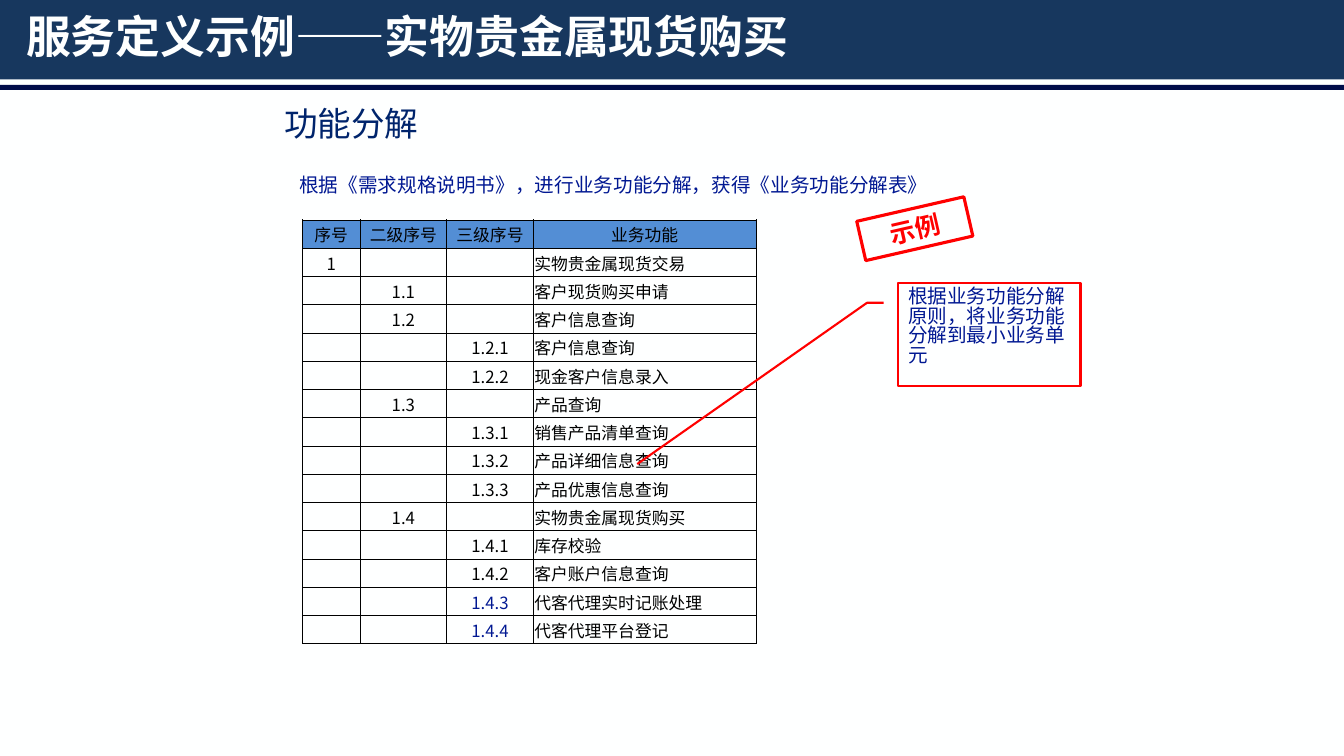
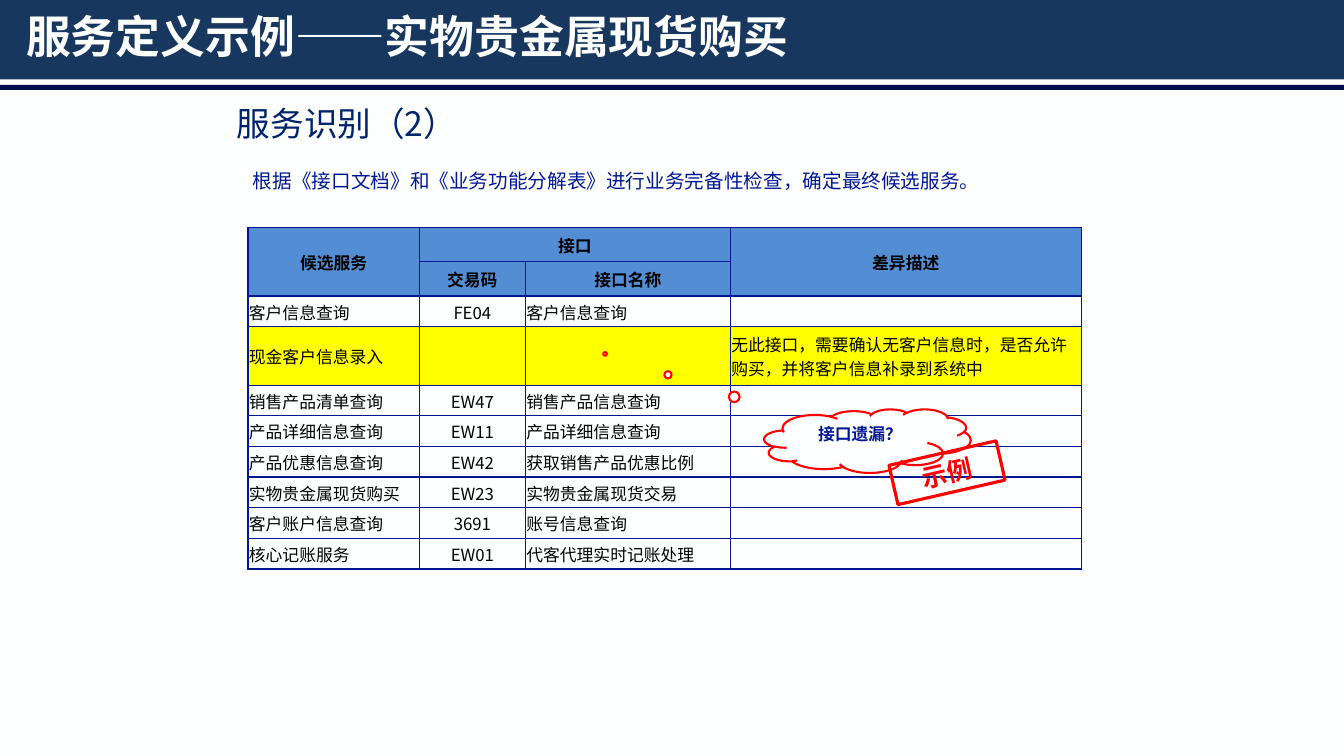
from lxml import etree
from pptx import Presentation
from pptx.dml.color import RGBColor
from pptx.enum import shapes, text
from pptx.oxml import ns
from pptx.util import Pt

NAVY = RGBColor(0x17, 0x37, 0x5E)
DARK = RGBColor(0x00, 0x0C, 0x49)
HEAD = RGBColor(0x00, 0x24, 0x6C)
BLUE = RGBColor(0x01, 0x18, 0x92)
SKY = RGBColor(0x53, 0x8E, 0xD5)
RED = RGBColor(0xFF, 0x00, 0x00)
YELLOW = RGBColor(0xFF, 0xFF, 0x00)
PAPER = RGBColor(0xFE, 0xFF, 0xFF)
BLACK = RGBColor(0x00, 0x00, 0x00)
FACE = "Noto Sans CJK SC"
WIDTH, HEIGHT = 960, 540
TITLE = "服务定义示例——实物贵金属现货购买"
SHAPE = shapes.MSO_SHAPE
LEFT, MID = text.PP_ALIGN.LEFT, text.PP_ALIGN.CENTER
TOP, CENTRE = text.MSO_ANCHOR.TOP, text.MSO_ANCHOR.MIDDLE


def sub(parent, tag, **attrs):
    return etree.SubElement(parent, ns.qn(tag), attrs)


class Deck:
    def __init__(self):
        self.prs = Presentation()
        self.prs.slide_width, self.prs.slide_height = Pt(WIDTH), Pt(HEIGHT)

    def slide(self, title):
        """Start a slide with the shared background, bands and title."""
        self.page = self.prs.slides.add_slide(self.prs.slide_layouts[6])
        fill = self.page.background.fill
        fill.solid()
        fill.fore_color.rgb = PAPER
        self.shape(SHAPE.RECTANGLE, (0, 0, WIDTH, 56.7), fill=NAVY)
        self.shape(SHAPE.RECTANGLE, (0, 60.6, WIDTH, 3.6), fill=DARK)
        self.label(title, 18.7, 6.4, 32, PAPER, bold=True)

    def put(self, frame, words, size, color, align=LEFT, bold=False,
            anchor=TOP, inset=(0, 0, 0, 0), pitch=None):
        """Set the text of a frame; pitch is its line spacing."""
        sides = ("left", "top", "right", "bottom")
        look = {f"margin_{s}": Pt(v) for s, v in zip(sides, inset)}
        look |= {"word_wrap": True, "vertical_anchor": anchor}
        for key, val in look.items():
            setattr(frame, key, val)
        para = frame.paragraphs[0]
        para.alignment = align
        if pitch:
            para.line_spacing = pitch
        self.words(para, words, size, color, bold)

    def words(self, para, words, size, color, bold):
        if not words:
            sub(para._p, "a:endParaRPr", sz=str(size * 100))
            return
        run = para.add_run()
        run.text = words
        for key, val in {"size": Pt(size), "bold": bold, "name": FACE}.items():
            setattr(run.font, key, val)
        run.font.color.rgb = color
        sub(run.font._element, "a:ea", typeface=FACE)

    def label(self, words, x, y, size, color, bold=False):
        box = self.page.shapes.add_textbox(
            Pt(x), Pt(y), Pt(WIDTH - x), Pt(size * 1.5))
        self.put(box.text_frame, words, size, color, bold=bold)

    def intro(self, head, head_x, note, note_x, note_y):
        self.label(head, head_x, 73.4, 24, HEAD)
        self.label(note, note_x, note_y, 14, BLUE)

    def shape(self, kind, box, fill=None, line=None, adjust=()):
        """Add a preset shape; line is its width in red."""
        item = self.page.shapes.add_shape(kind, *map(Pt, box))
        item.shadow.inherit = False
        if fill is None:
            item.fill.background()
        else:
            item.fill.solid()
            item.fill.fore_color.rgb = fill
        if line is None:
            item.line.fill.background()
        else:
            item.line.color.rgb = RED
            item.line.width = Pt(line)
        for i, val in enumerate(adjust):
            item.adjustments[i] = val
        return item

    def bubble(self, kind, box, adjust, words, size, fill=None, **look):
        item = self.shape(kind, box, fill, 1.5, adjust)
        self.put(item.text_frame, words, size, BLUE,
                 inset=(7.2, 3.6, 7.2, 3.6), **look)

    def stamp(self, x, y):
        item = self.shape(SHAPE.RECTANGLE, (x, y, 78.5, 28.8), line=2.25)
        item.rotation = -12.9
        self.put(item.text_frame, "示例", 18, RED, MID, True, CENTRE)

    def table(self, x, y, cols, rows, edge, width):
        """Add a bordered grid and return it, still without text."""
        grid = self.page.shapes.add_table(
            len(rows), len(cols), Pt(x), Pt(y),
            Pt(sum(cols)), Pt(sum(rows))).table
        for parts, attr, sizes in ((grid.columns, "width", cols),
                                   (grid.rows, "height", rows)):
            for part, size in zip(parts, sizes):
                setattr(part, attr, Pt(size))
        for cell in grid.iter_cells():
            props = cell._tc.get_or_add_tcPr()
            for side in "LRTB":
                line = sub(props, f"a:ln{side}", w=str(int(Pt(width))))
                sub(sub(line, "a:solidFill"), "a:srgbClr", val=str(edge))
        return grid

    def cell(self, cell, words, fill=PAPER, color=BLACK, align=LEFT,
             bold=False):
        cell.fill.solid()
        cell.fill.fore_color.rgb = fill
        self.put(cell.text_frame, words, 12, color, align, bold)
        cell.vertical_anchor = CENTRE
        for side in ("left", "top", "right"):
            setattr(cell, f"margin_{side}", Pt(0.72))
        cell.margin_bottom = 0


TASKS = [
    ("1", "实物贵金属现货交易"),
    ("1.1", "客户现货购买申请"),
    ("1.2", "客户信息查询"),
    ("1.2.1", "客户信息查询"),
    ("1.2.2", "现金客户信息录入"),
    ("1.3", "产品查询"),
    ("1.3.1", "销售产品清单查询"),
    ("1.3.2", "产品详细信息查询"),
    ("1.3.3", "产品优惠信息查询"),
    ("1.4", "实物贵金属现货购买"),
    ("1.4.1", "库存校验"),
    ("1.4.2", "客户账户信息查询"),
    ("1.4.3", "代客代理实时记账处理"),
    ("1.4.4", "代客代理平台登记"),
]
NEW = ("1.4.3", "1.4.4")

HEADS = [("候选服务", "接口", "", "差异描述"),
         ("", "交易码", "接口名称", "")]
CALLS = [
    ("客户信息查询", "FE04", "客户信息查询", ""),
    ("现金客户信息录入", "", "",
     "无此接口，需要确认无客户信息时，是否允许购买，并将客户信息补录到系统中"),
    ("销售产品清单查询", "EW47", "销售产品信息查询", ""),
    ("产品详细信息查询", "EW11", "产品详细信息查询", ""),
    ("产品优惠信息查询", "EW42", "获取销售产品优惠比例", ""),
    ("实物贵金属现货购买", "EW23", "实物贵金属现货交易", ""),
    ("客户账户信息查询", "3691", "账号信息查询", ""),
    ("核心记账服务", "EW01", "代客代理实时记账处理", ""),
]


def split(deck):
    """Slide on breaking the business into functions."""
    deck.slide(TITLE)
    deck.intro("功能分解", 203,
               "根据《需求规格说明书》，进行业务功能分解，获得《业务功能分解表》",
               213.8, 123.7)
    grid = deck.table(216, 157, (41.2, 61.9, 61.9, 159),
                      [20.2] * (len(TASKS) + 1), BLACK, 0.5)
    for c, words in enumerate(("序号", "二级序号", "三级序号", "业务功能")):
        deck.cell(grid.cell(0, c), words, SKY, align=MID)
    for r, (code, name) in enumerate(TASKS, 1):
        for c in range(3):
            deck.cell(grid.cell(r, c), code if c == code.count(".") else "",
                      color=BLUE if code in NEW else BLACK, align=MID)
        deck.cell(grid.cell(r, 3), name)
    deck.bubble(SHAPE.LINE_CALLOUT_2, (641.5, 202.3, 130.3, 73.4),
                (0.19, -0.08, 0.19, -0.17, 1.76, -1.43),
                "根据业务功能分解原则，将业务功能分解到最小业务单元", 14,
                pitch=0.83)
    deck.stamp(614.2, 149)


def match(deck):
    """Slide on checking services against interfaces."""
    deck.slide(TITLE)
    grid = deck.table(177.1, 162.3, (122.5, 75.7, 146.4, 250.7),
                      [24.6] * 2 + [21.9, 41.8] + [21.9] * 6, BLUE, 1)
    for r, row in enumerate(HEADS + CALLS):
        top = r < len(HEADS)
        fill = SKY if top else YELLOW if row[3] else PAPER
        for c, words in enumerate(row):
            deck.cell(grid.cell(r, c), words, fill, bold=top,
                      align=MID if top or c == 1 else LEFT)
    for first, last in (((0, 0), (1, 0)), ((0, 1), (0, 2)), ((0, 3), (1, 3))):
        grid.cell(*first).merge(grid.cell(*last))
    deck.intro("服务识别（2）", 169.2,
               "根据《接口文档》和《业务功能分解表》进行业务完备性检查，确定最终候选服务。",
               180.7, 120.5)
    deck.bubble(SHAPE.CLOUD_CALLOUT, (545.8, 292.3, 147.6, 45.4),
                (-1.27, -1.37), "接口遗漏？", 12, PAPER, align=MID, bold=True)
    deck.stamp(637.2, 323.3)


def main():
    deck = Deck()
    split(deck)
    match(deck)
    deck.prs.save("out.pptx")


if __name__ == "__main__":
    main()
